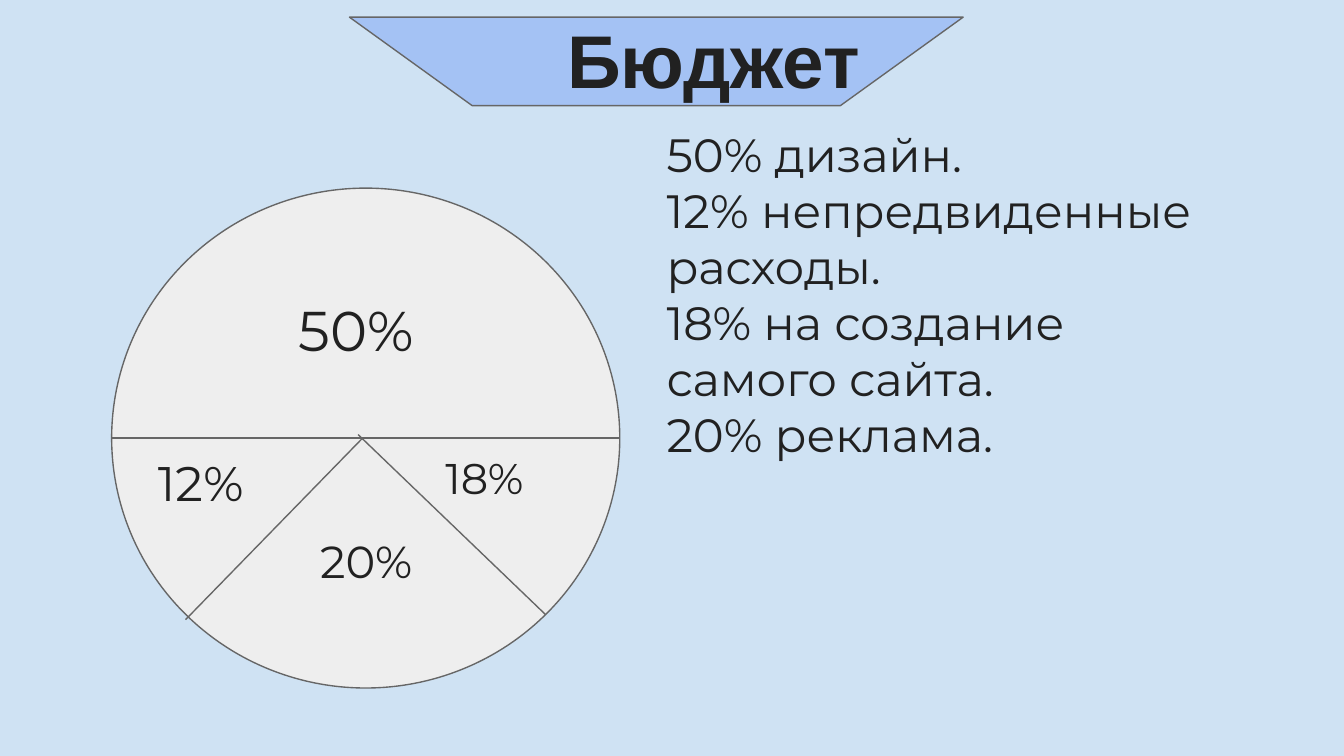
from typing import NamedTuple

from lxml import etree
from pptx import Presentation
from pptx.dml.color import RGBColor
from pptx.enum.shapes import MSO_CONNECTOR, MSO_SHAPE
from pptx.enum.text import MSO_ANCHOR, PP_ALIGN
from pptx.oxml.ns import qn
from pptx.slide import Slide
from pptx.util import Pt

STRAIGHT = MSO_CONNECTOR.STRAIGHT
TRAPEZOID = MSO_SHAPE.FLOWCHART_MANUAL_OPERATION
CIRCLE = MSO_SHAPE.FLOWCHART_CONNECTOR
TOP = MSO_ANCHOR.TOP
LEFT, CENTER = PP_ALIGN.LEFT, PP_ALIGN.CENTER

COLORS = {
    "background": "CFE2F3",
    "banner": "A4C2F4",
    "pie": "EEEEEE",
    "outline": "666666",
    "text": "212121",
}
OUTLINE_WIDTH = 0.75
INSET = 7.2


class Area(NamedTuple):
    left: float
    top: float
    width: float
    height: float


class Figure(NamedTuple):
    kind: MSO_SHAPE
    area: Area
    color: str


class Divider(NamedTuple):
    start_x: float
    start_y: float
    end_x: float
    end_y: float


class Label(NamedTuple):
    area: Area
    lines: tuple[str, ...]
    size: float
    font: str = "Montserrat"
    bold: bool = False
    align: PP_ALIGN = CENTER


PIE = Area(59.8, 100.8, 272.2, 267.8)
MIDDLE = PIE.top + PIE.height / 2

FIGURES = (
    Figure(TRAPEZOID, Area(187.2, 9.2, 328.8, 47.4), "banner"),
    Figure(CIRCLE, PIE, "pie"),
)
DIVIDERS = (
    Divider(191.8, 232.8, 292.2, 329.2),
    Divider(PIE.left, MIDDLE, PIE.left + PIE.width, MIDDLE),
    Divider(99.4, 332, 193.8, 235.2),
)
LABELS = (
    Label(Area(296.8, 0, 227.6, 37.4), ("Бюджет",), 40, "Arial", True, LEFT),
    Label(Area(113.8, 151.2, 154, 59), ("50%",), 30),
    Label(Area(60.4, 235.4, 94.4, 85), ("12%",), 26),
    Label(Area(187.2, 234.8, 144.8, 88.6), ("18%",), 23),
    Label(Area(116, 278.6, 160.4, 72.8), ("20%",), 24),
    Label(
        Area(350, 60.4, 318.2, 284.4),
        (
            "50% дизайн.",
            "12% непредвиденные расходы.",
            "18% на создание самого сайта.",
            "20% реклама.",
        ),
        25,
        align=LEFT,
    ),
)


def color(name: str) -> RGBColor:
    return RGBColor.from_string(COLORS[name])


def set_all(target: object, values: dict) -> None:
    for name, value in values.items():
        setattr(target, name, value)


def draw_figure(page: Slide, figure: Figure) -> None:
    shape = page.shapes.add_shape(figure.kind, *map(Pt, figure.area))
    shape.shadow.inherit = False
    shape.fill.solid()
    shape.fill.fore_color.rgb = color(figure.color)
    shape.line.color.rgb = color("outline")
    shape.line.width = Pt(OUTLINE_WIDTH)


def draw_divider(page: Slide, divider: Divider) -> None:
    connector = page.shapes.add_connector(STRAIGHT, *map(Pt, divider))
    connector.line.color.rgb = color("outline")
    connector.line.width = Pt(OUTLINE_WIDTH)
    properties = connector._element.find(qn("p:spPr"))
    etree.SubElement(properties, qn("a:effectLst"))


def draw_label(page: Slide, label: Label) -> None:
    frame = page.shapes.add_textbox(*map(Pt, label.area)).text_frame
    margins = ("margin_left", "margin_top", "margin_right", "margin_bottom")
    set_all(frame, dict.fromkeys(margins, Pt(INSET)))
    set_all(frame, {"word_wrap": True, "vertical_anchor": TOP})
    frame.text = "\n".join(label.lines)
    for para in frame.paragraphs:
        para.alignment = label.align
        for span in para.runs:
            set_all(span.font, {
                "name": label.font,
                "size": Pt(label.size),
                "bold": label.bold,
            })
            span.font.color.rgb = color("text")


def main() -> None:
    """Build the budget slide with its divided circle and list of shares."""
    deck = Presentation()
    set_all(deck, {"slide_width": Pt(720), "slide_height": Pt(405)})
    page = deck.slides.add_slide(deck.slide_layouts[6])
    page.background.fill.solid()
    page.background.fill.fore_color.rgb = color("background")
    banner, pie = FIGURES
    title, *texts = LABELS
    draw_figure(page, banner)
    draw_label(page, title)
    draw_figure(page, pie)
    for divider in DIVIDERS:
        draw_divider(page, divider)
    for label in texts:
        draw_label(page, label)
    deck.save("out.pptx")


if __name__ == "__main__":
    main()
